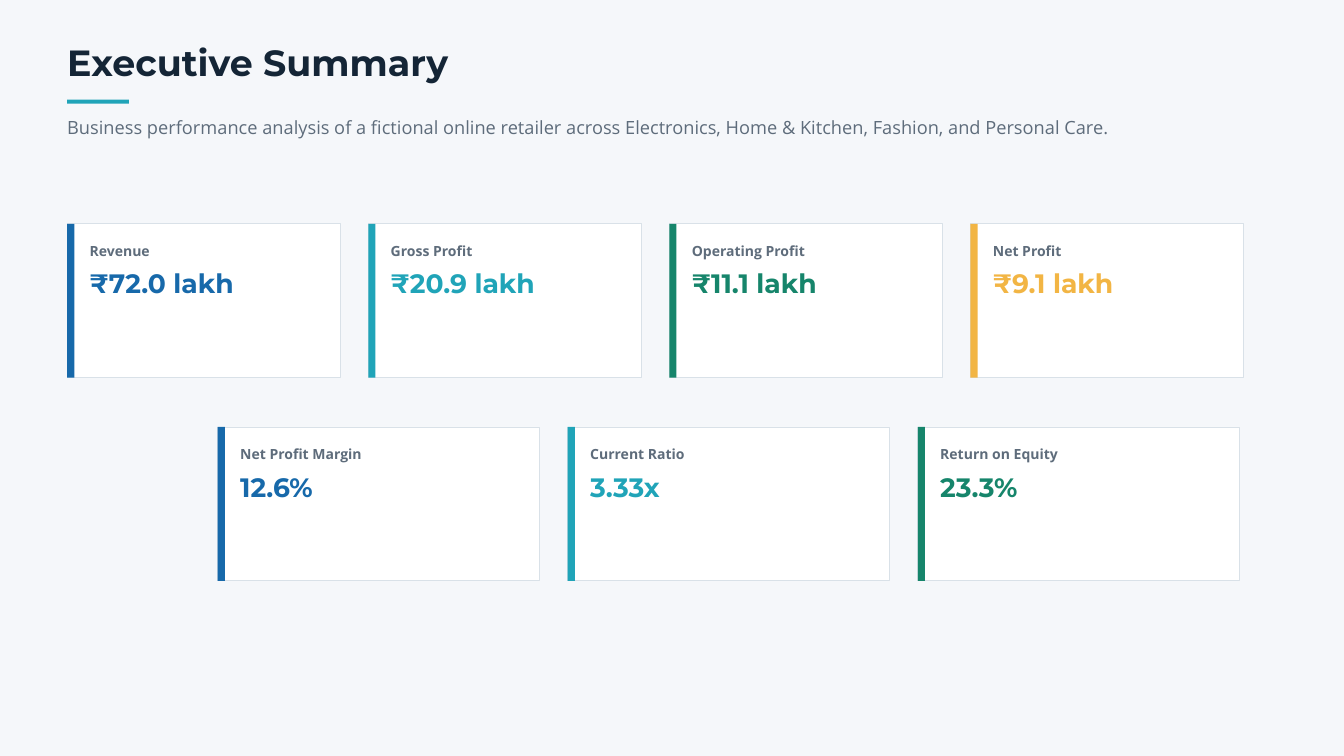
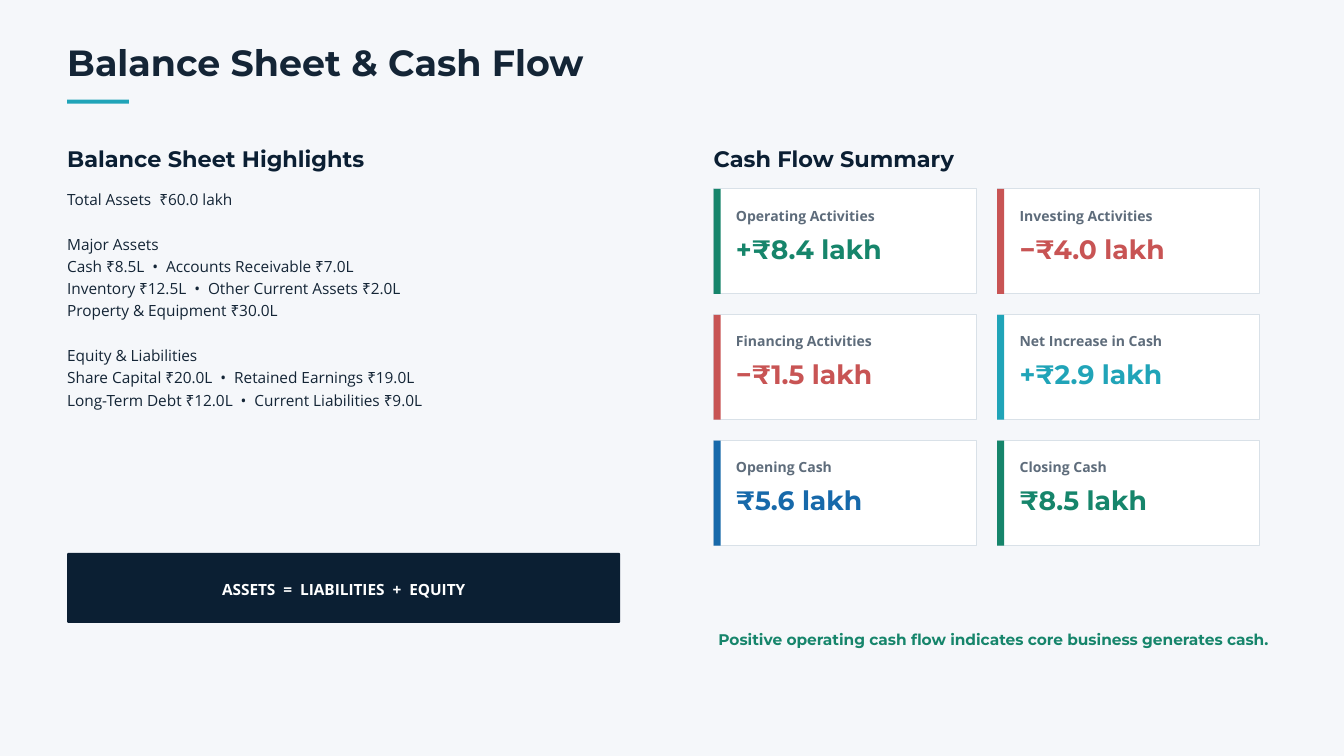
from pptx import Presentation
from pptx.dml.color import RGBColor
from pptx.enum.shapes import MSO_SHAPE
from pptx.enum.text import MSO_ANCHOR, MSO_AUTO_SIZE, PP_ALIGN
from pptx.util import Cm, Pt

HEADING_FONT, BODY_FONT = "Montserrat", "Open Sans"
BACKGROUND, WHITE, BORDER = "F5F7FA", "FFFFFF", "D9E1E8"
INK, NAVY, GREY = "142536", "0B1F33", "5E6C7B"
BLUE, TEAL, GREEN, AMBER, RED = "1769AA", "20A4B8", "16856B", "F2B544", "C85454"

MARGIN = 2.54
RIGHT_COLUMN = 26.97
BODY_LEADING = 23.9


def color(value):
    return RGBColor.from_string(value)


def write_paragraph(para, text, font, size, fill, leading, bold=False,
                    align=PP_ALIGN.LEFT, before=0):
    para.alignment = align
    para.line_spacing = Pt(leading)
    para.space_before = Pt(before)
    span = para.add_run()
    span.text = text
    span.font.name = font
    span.font.size = Pt(size)
    span.font.bold = bold
    span.font.color.rgb = color(fill)


def add_text(shapes, text, left, top, width, height, gaps_before=(), **style):
    """Write one paragraph per line; lines in gaps_before follow an open line."""
    box = shapes.add_textbox(Cm(left), Cm(top), Cm(width), Cm(height))
    frame = box.text_frame
    frame.word_wrap = True
    frame.auto_size = MSO_AUTO_SIZE.SHAPE_TO_FIT_TEXT
    frame.margin_left = frame.margin_right = 0
    frame.margin_top = frame.margin_bottom = 0
    for index, line in enumerate(text.split("\n")):
        para = frame.add_paragraph() if index else frame.paragraphs[0]
        before = style["leading"] if line in gaps_before else 0
        write_paragraph(para, line, before=before, **style)


def add_block(shapes, left, top, width, height, fill, border=None,
              kind=MSO_SHAPE.RECTANGLE):
    block = shapes.add_shape(kind, Cm(left), Cm(top), Cm(width), Cm(height))
    block.shadow.inherit = False
    block.fill.solid()
    block.fill.fore_color.rgb = color(fill)
    if border:
        block.line.color.rgb = color(border)
        block.line.width = Pt(0.75)
    else:
        block.line.fill.background()
    return block


def add_page(deck, title):
    page = deck.slides.add_slide(deck.slide_layouts[6])
    page.background.fill.solid()
    page.background.fill.fore_color.rgb = color(BACKGROUND)
    add_text(page.shapes, title, MARGIN, 1.65, 45.72, 1.55,
             font=HEADING_FONT, size=39, fill=INK, leading=42.9, bold=True)
    add_block(page.shapes, MARGIN, 3.77, 2.33, 0.15, TEAL)
    return page


def add_section_heading(page, text, left, width):
    add_text(page.shapes, text, left, 5.31, width, 1.09,
             font=HEADING_FONT, size=24, fill=NAVY, leading=33.6, bold=True)


def add_card(page, label, value, accent, left, top, width, height):
    shapes = page.shapes.add_group_shape().shapes
    add_block(shapes, left, top, width, height, WHITE, border=BORDER)
    add_block(shapes, left, top, 0.27, height, accent)
    text_left, text_width = left + 0.85, width - 1.58
    add_text(shapes, label, text_left, top + 0.69, text_width, 0.64,
             font=BODY_FONT, size=15, fill=GREY, leading=18, bold=True)
    add_text(shapes, value, text_left, top + 1.8, text_width, 1.09,
             font=HEADING_FONT, size=28.5, fill=accent, leading=29.9, bold=True)


def add_card_grid(page, cards, left, top, width, height, gap, columns):
    for index, (label, value, accent) in enumerate(cards):
        row, column = divmod(index, columns)
        add_card(page, label, value, accent, left + column * (width + gap),
                 top + row * (height + gap), width, height)


def add_banner(page, text, left, top, width, height):
    banner = add_block(page.shapes, left, top, width, height, NAVY,
                       kind=MSO_SHAPE.ROUNDED_RECTANGLE)
    banner.adjustments[0] = 0.02
    frame = banner.text_frame
    frame.word_wrap = True
    frame.vertical_anchor = MSO_ANCHOR.MIDDLE
    write_paragraph(frame.paragraphs[0], text, BODY_FONT, 16.5, WHITE, 23.1,
                    bold=True, align=PP_ALIGN.CENTER)


def build_summary(deck):
    page = add_page(deck, "Executive Summary")
    add_text(page.shapes,
             "Business performance analysis of a fictional online retailer across "
             "Electronics, Home & Kitchen, Fashion, and Personal Care.",
             MARGIN, 4.29, 39.67, 0.94,
             font=BODY_FONT, size=19.5, fill=GREY, leading=26.3)
    profits = [
        ("Revenue", "₹72.0 lakh", BLUE),
        ("Gross Profit", "₹20.9 lakh", TEAL),
        ("Operating Profit", "₹11.1 lakh", GREEN),
        ("Net Profit", "₹9.1 lakh", AMBER),
    ]
    ratios = [
        ("Net Profit Margin", "12.6%", BLUE),
        ("Current Ratio", "3.33x", TEAL),
        ("Return on Equity", "23.3%", GREEN),
    ]
    add_card_grid(page, profits, MARGIN, 8.46, 10.31, 5.82, gap=1.07, columns=4)
    add_card_grid(page, ratios, 8.23, 16.14, 12.17, 5.82, gap=1.06, columns=3)


def build_balance_and_cash(deck):
    page = add_page(deck, "Balance Sheet & Cash Flow")
    add_section_heading(page, "Balance Sheet Highlights", MARGIN, 20.12)
    highlights = [
        "Total Assets  ₹60.0 lakh",
        "Major Assets",
        "Cash ₹8.5L  •  Accounts Receivable ₹7.0L",
        "Inventory ₹12.5L  •  Other Current Assets ₹2.0L",
        "Property & Equipment ₹30.0L",
        "Equity & Liabilities",
        "Share Capital ₹20.0L  •  Retained Earnings ₹19.0L",
        "Long-Term Debt ₹12.0L  •  Current Liabilities ₹9.0L",
    ]
    add_text(page.shapes, "\n".join(highlights), MARGIN, 7.04, 20.9, 8.15,
             gaps_before=("Major Assets", "Equity & Liabilities"),
             font=BODY_FONT, size=16.5, fill=INK, leading=BODY_LEADING)
    add_banner(page, "ASSETS  =  LIABILITIES  +  EQUITY", MARGIN, 20.9, 20.9, 2.65)

    add_section_heading(page, "Cash Flow Summary", RIGHT_COLUMN, 21.16)
    cash_flows = [
        ("Operating Activities", "+₹8.4 lakh", GREEN),
        ("Investing Activities", "−₹4.0 lakh", RED),
        ("Financing Activities", "−₹1.5 lakh", RED),
        ("Net Increase in Cash", "+₹2.9 lakh", TEAL),
        ("Opening Cash", "₹5.6 lakh", BLUE),
        ("Closing Cash", "₹8.5 lakh", GREEN),
    ]
    add_card_grid(page, cash_flows, RIGHT_COLUMN, 7.14, 9.93, 3.97, gap=0.79,
                  columns=2)
    add_text(page.shapes,
             "Positive operating cash flow indicates core business generates cash.",
             RIGHT_COLUMN, 23.7, 21.16, 0.79, font=HEADING_FONT, size=16.5,
             fill=GREEN, leading=23.1, bold=True, align=PP_ALIGN.CENTER)


def main():
    deck = Presentation()
    deck.slide_width, deck.slide_height = Cm(50.8), Cm(28.58)
    build_summary(deck)
    build_balance_and_cash(deck)
    deck.save("out.pptx")


if __name__ == "__main__":
    main()
